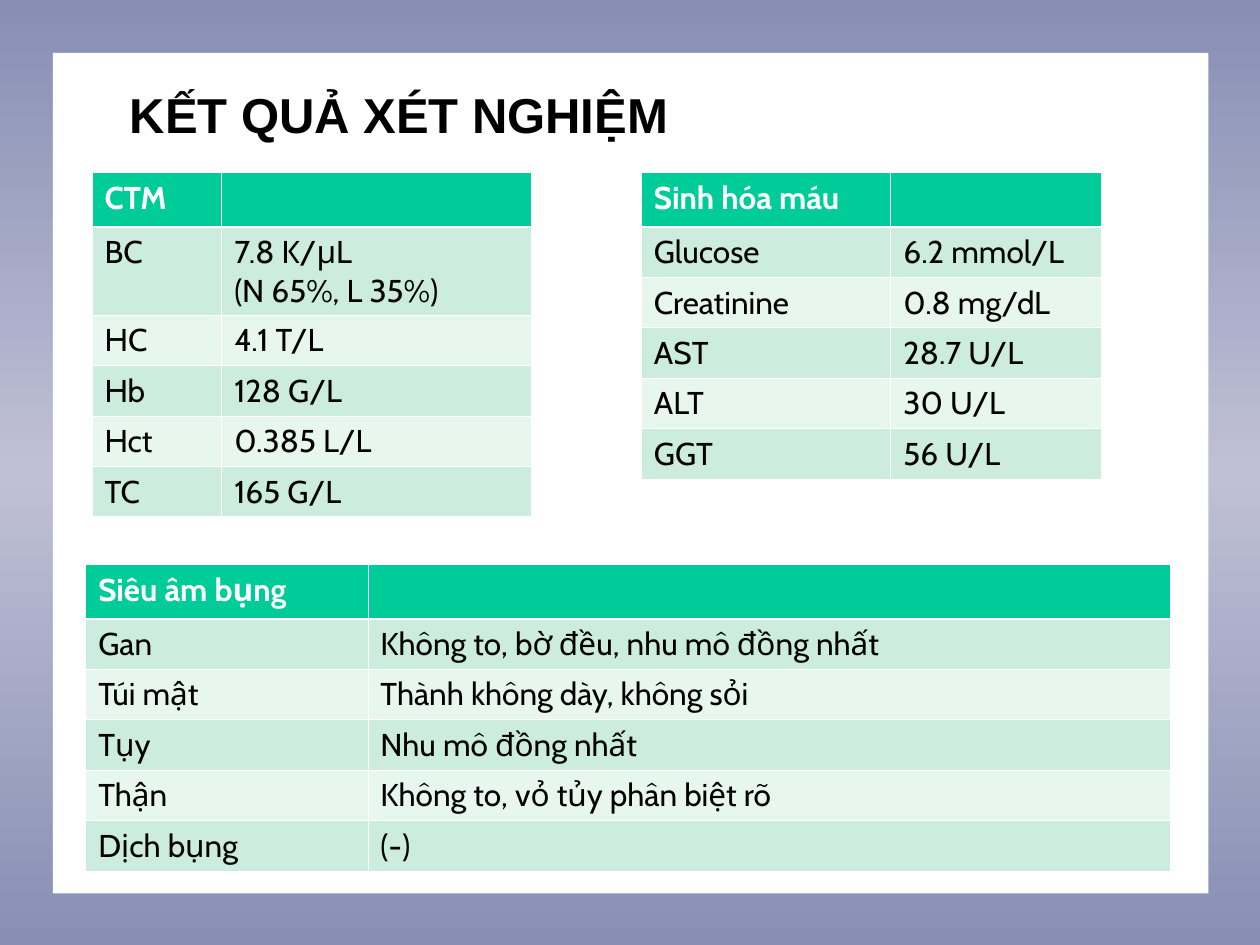
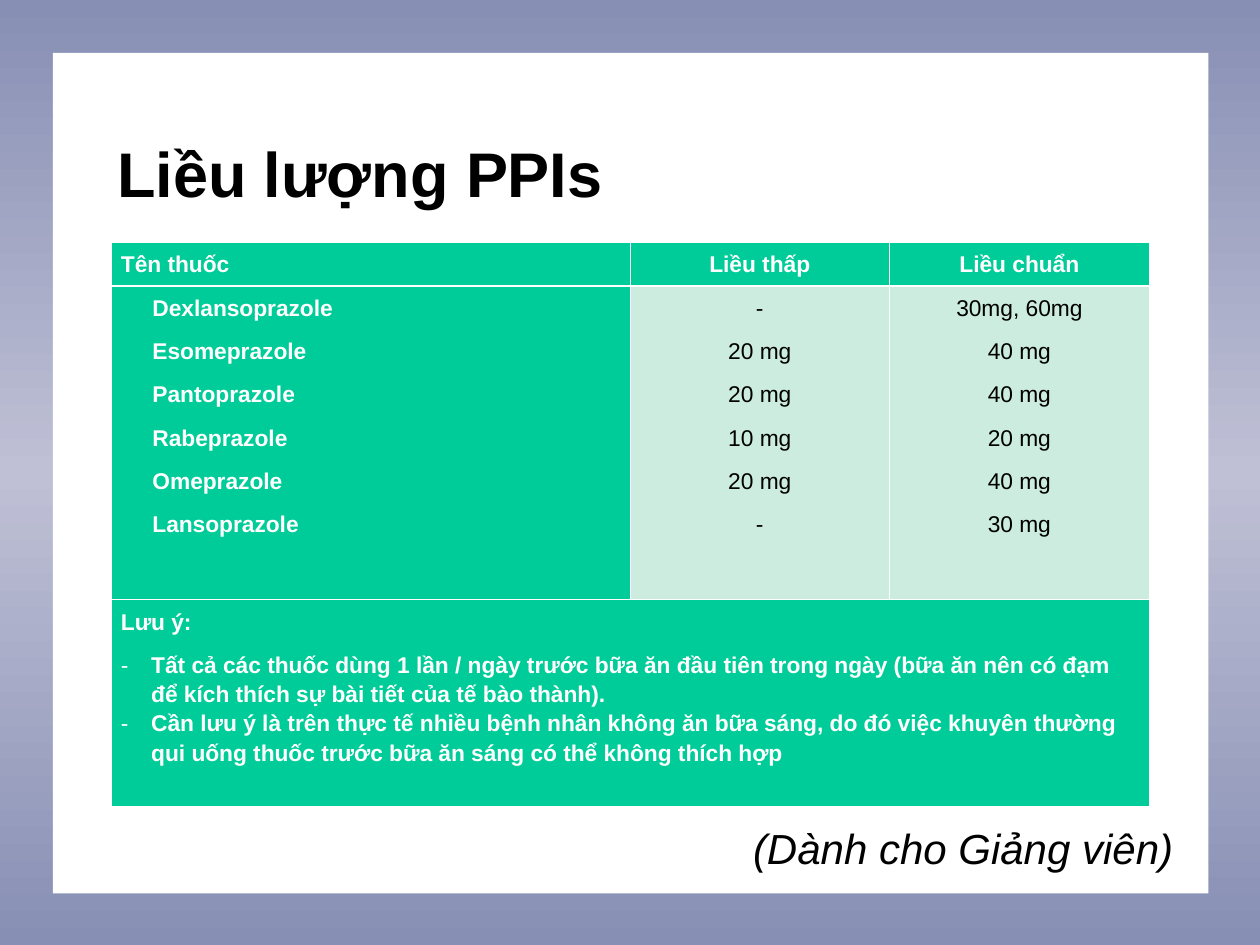
from copy import deepcopy

from lxml.etree import SubElement
from pptx import Presentation
from pptx.dml.color import RGBColor
from pptx.enum.shapes import MSO_SHAPE
from pptx.enum.text import PP_ALIGN
from pptx.oxml.ns import qn
from pptx.util import Inches, Pt

WHITE = RGBColor(0xFF, 0xFF, 0xFF)
BLACK = RGBColor(0x00, 0x00, 0x00)
EDGE = RGBColor(0x87, 0x8F, 0xB4)
MIDDLE = RGBColor(0xBF, 0xC0, 0xD5)
GREEN = RGBColor(0x00, 0xCC, 0x99)
MINT = RGBColor(0xCB, 0xEC, 0xDE)
PALE = RGBColor(0xE7, 0xF6, 0xEF)

BACKGROUND = ((0, EDGE), (0.5, MIDDLE), (1, EDGE))
THIN, THICK = Pt(0.45), Pt(1.47)
ROW = 0.4

BLOOD_COUNT = [
    ("CTM", ""),
    ("BC", "7.8 K/μL \v(N 65%, L 35%)"),
    ("HC", "4.1 T/L"),
    ("Hb", "128 G/L"),
    ("Hct", "0.385 L/L"),
    ("TC", "165 G/L"),
]
BLOOD_CHEMISTRY = [
    ("Sinh hóa máu", ""),
    ("Glucose", "6.2 mmol/L"),
    ("Creatinine", "0.8 mg/dL"),
    ("AST", "28.7 U/L"),
    ("ALT", "30 U/L"),
    ("GGT", "56 U/L"),
]
ULTRASOUND = [
    ("Siêu âm bụng", ""),
    ("Gan", "Không to, bờ đều, nhu mô đồng nhất"),
    ("Túi mật", "Thành không dày, không sỏi"),
    ("Tụy", "Nhu mô đồng nhất"),
    ("Thận", "Không to, vỏ tủy phân biệt rõ"),
    ("Dịch bụng", "(-)"),
]
DOSE_HEADINGS = ("Tên thuốc", "Liều thấp", "Liều chuẩn")
DOSES = [
    ("Dexlansoprazole", "-", "30mg, 60mg"),
    ("Esomeprazole", "20 mg", "40 mg"),
    ("Pantoprazole", "20 mg", "40 mg"),
    ("Rabeprazole", "10 mg", "20 mg"),
    ("Omeprazole", "20 mg", "40 mg"),
    ("Lansoprazole", "-", "30 mg"),
]
NOTES = [
    "Tất cả các thuốc dùng 1 lần / ngày trước bữa ăn đầu tiên trong ngày "
    "(bữa ăn nên có đạm để kích thích sự bài tiết của tế bào thành).",
    "Cần lưu ý là trên thực tế nhiều bệnh nhân không ăn bữa sáng, do đó việc "
    "khuyên thường qui uống thuốc trước bữa ăn sáng có thể không thích hợp",
]


def set_all(target, values):
    for name, value in values.items():
        setattr(target, name, value)


class PageBuilder:
    def __init__(self, deck):
        self.deck = deck
        self.page = None

    def new_page(self):
        """Add a page with the gradient background and the white panel."""
        self.page = self.deck.slides.add_slide(self.deck.slide_layouts[6])
        fill = self.page.background.fill
        fill.gradient()
        fill.gradient_angle = 90
        stops = self.page.element.find(".//" + qn("a:gsLst"))
        stops.append(deepcopy(stops[0]))
        for stop, (position, color) in zip(fill.gradient_stops, BACKGROUND):
            stop.position = position
            stop.color.rgb = color
        panel = self.page.shapes.add_shape(
            MSO_SHAPE.RECTANGLE, Inches(0.42), Inches(0.42), Inches(9.17), Inches(6.67))
        panel.shadow.inherit = False
        panel.fill.solid()
        panel.fill.fore_color.rgb = WHITE
        panel.line.fill.background()

    def fill_paragraph(self, paragraph, text, color=BLACK, layout=None, **font):
        set_all(paragraph, layout or {})
        paragraph.text = text
        for span in paragraph.runs:
            set_all(span.font, font)
            span.font.color.rgb = color

    def text(self, text, left, top, width, height, margins=None, **style):
        box = self.page.shapes.add_textbox(*map(Inches, (left, top, width, height)))
        set_all(box.text_frame, {"word_wrap": True, **(margins or {})})
        self.fill_paragraph(box.text_frame.paragraphs[0], text, name="Arial", **style)

    def title(self, text, left, top, width, height, size, drop):
        margins = {"margin_left": Inches(0.48), "margin_top": Inches(drop)}
        self.text(text, left, top, width, height, margins, size=Pt(size), bold=True)

    def table(self, left, top, widths, heights):
        frame = self.page.shapes.add_table(
            len(heights), len(widths), Inches(left), Inches(top),
            Inches(sum(widths)), Inches(sum(heights)))
        table = frame.table
        set_all(table, {"first_row": False, "horz_banding": False})
        for column, width in zip(table.columns, widths):
            column.width = Inches(width)
        for row, height in zip(table.rows, heights):
            row.height = Inches(height)
        return table

    def paint(self, table, color_at):
        """Fill each cell by its row and column, with a thick rule under the heading."""
        for i, row in enumerate(table.rows):
            for j, cell in enumerate(row.cells):
                properties = cell._tc.get_or_add_tcPr()
                widths = {"lnL": THIN, "lnR": THIN,
                          "lnT": THICK if i == 1 else THIN,
                          "lnB": THICK if i == 0 else THIN}
                for side, width in widths.items():
                    line = SubElement(properties, qn("a:" + side), w=str(width))
                    solid = SubElement(line, qn("a:solidFill"))
                    SubElement(solid, qn("a:srgbClr"), val=str(WHITE))
                cell.fill.solid()
                cell.fill.fore_color.rgb = color_at(i, j)

    def result_table(self, left, top, widths, results, tall_rows=()):
        heights = [0.43] + [0.7 if i in tall_rows else ROW for i in range(1, len(results))]
        table = self.table(left, top, widths, heights)
        self.paint(table, lambda i, j: GREEN if i == 0 else MINT if i % 2 else PALE)
        for i, result in enumerate(results):
            for j, text in enumerate(result):
                self.fill_paragraph(table.cell(i, j).text_frame.paragraphs[0], text,
                                    WHITE if i == 0 else BLACK,
                                    name="Cabin", size=Pt(18), bold=i == 0)

    def dose_lines(self, cell, lines, color, layout):
        frame = cell.text_frame
        set_all(cell, {"margin_left": Inches(0.08), "margin_right": Inches(0.08)})
        for i, line in enumerate(lines):
            paragraph = frame.add_paragraph() if i else frame.paragraphs[0]
            self.fill_paragraph(paragraph, line, color,
                                {"line_spacing": 1.15, "space_after": Pt(8), **layout},
                                name="Arial", size=Pt(13), bold=color == WHITE)

    def dash(self, paragraph):
        properties = paragraph._p.get_or_add_pPr()
        properties.set("marL", str(Inches(0.24)))
        properties.set("indent", str(-Inches(0.24)))
        color = SubElement(properties, qn("a:buClr"))
        SubElement(color, qn("a:srgbClr"), val=str(WHITE))
        SubElement(properties, qn("a:buFont"), typeface="Arial")
        SubElement(properties, qn("a:buChar"), char="-")

    def dose_table(self, left, top):
        table = self.table(left, top, [4.12, 2.06, 2.06], [0.34, 2.49, 1.64])
        self.paint(table, lambda i, j: MINT if i == 1 and j else GREEN)
        centred = {"alignment": PP_ALIGN.CENTER}
        for j, (heading, lines) in enumerate(zip(DOSE_HEADINGS, zip(*DOSES))):
            layout = centred if j else {}
            self.dose_lines(table.cell(0, j), [heading], WHITE, layout)
            self.dose_lines(table.cell(1, j), lines, BLACK if j else WHITE, layout)
        for paragraph in table.cell(1, 0).text_frame.paragraphs:
            paragraph._p.get_or_add_pPr().set("marL", str(Inches(0.25)))
        notes = table.cell(2, 0)
        notes.merge(table.cell(2, 2))
        self.dose_lines(notes, ["Lưu ý:", *NOTES], WHITE, {})
        first, second = notes.text_frame.paragraphs[1:]
        first.space_after = Pt(0)
        for paragraph in (first, second):
            self.dash(paragraph)


def main():
    deck = Presentation()
    deck.slide_width, deck.slide_height = Inches(10), Inches(7.5)
    builder = PageBuilder(deck)

    builder.new_page()
    builder.title("KẾT QUẢ XÉT NGHIỆM", 0.55, 0.58, 9.08, 4.95, size=28, drop=0.09)
    builder.result_table(0.73, 1.37, [1.03, 2.46], BLOOD_COUNT, tall_rows=(1,))
    builder.result_table(5.09, 1.37, [1.98, 1.67], BLOOD_CHEMISTRY)
    builder.result_table(0.68, 4.48, [2.24, 6.37], ULTRASOUND)

    builder.new_page()
    builder.title("Liều lượng PPIs", 0.45, 0, 9, 2.67, size=36, drop=1.07)
    builder.text("(Dành cho Giảng viên)", 0.58, 6.48, 8.83, 0.5,
                 layout={"alignment": PP_ALIGN.RIGHT}, size=Pt(24), italic=True)
    builder.dose_table(0.88, 1.92)

    deck.save("out.pptx")


if __name__ == "__main__":
    main()
